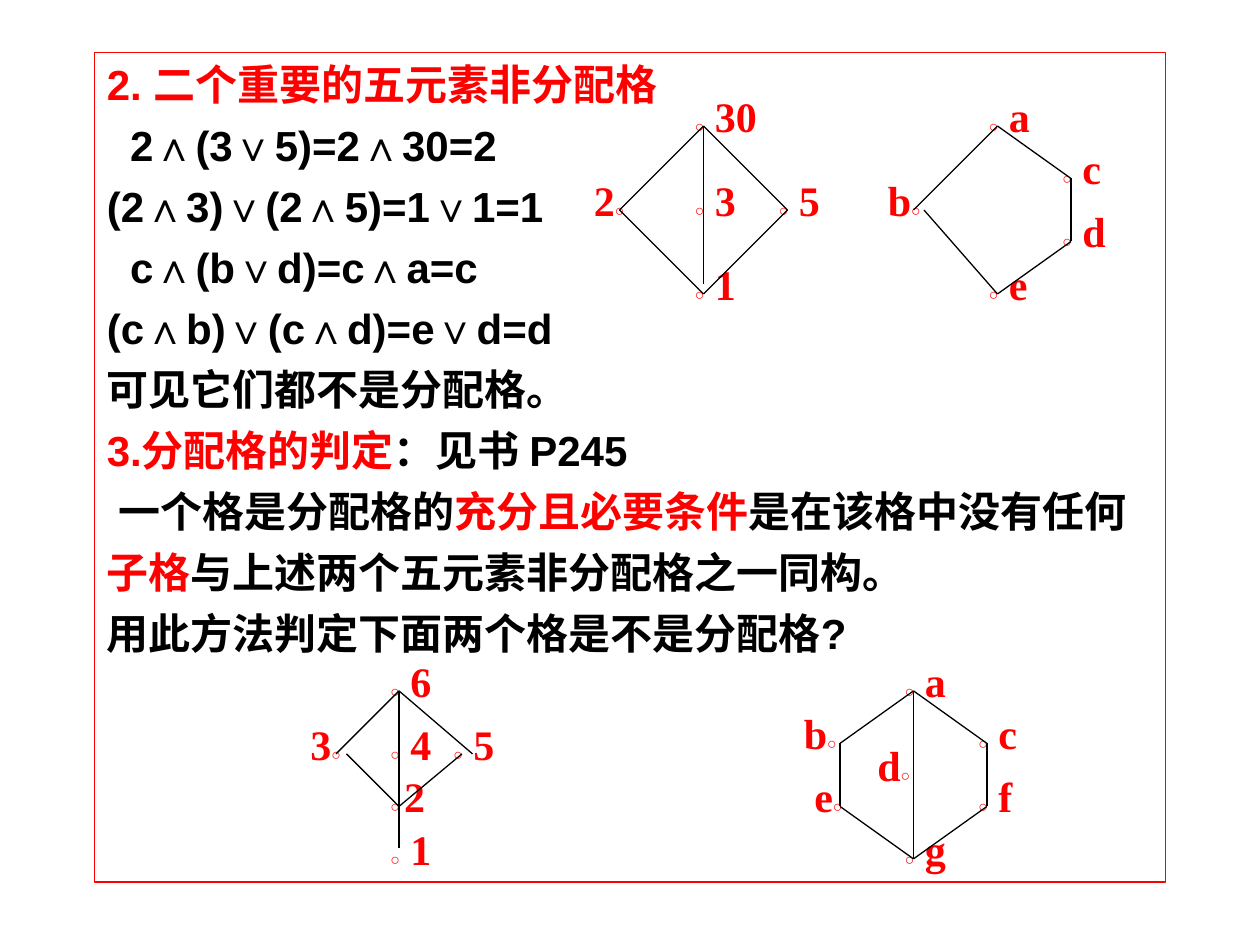
from lxml.etree import SubElement as Sub
from pptx import Presentation
from pptx.dml.color import RGBColor
from pptx.enum.shapes import MSO_CONNECTOR as Link
from pptx.enum.text import MSO_ANCHOR as Anchor, MSO_AUTO_SIZE as Fit
from pptx.oxml.ns import qn
from pptx.util import Cm, Pt

RED = RGBColor(0xFF, 0, 0)
BLACK = RGBColor(0, 0, 0)
STEP = 2.54 / 12
SANS, SERIF = "Arial", "Times New Roman"
RIM = 0.75

LINES = [
    (0, [("2. 二个重要的五元素非分配格", RED)]),
    (0.47, [("2∧(3∨5)=2∧30=2", BLACK)]),
    (0, [("(2∧3)∨(2∧5)=1∨1=1", BLACK)]),
    (0.47, [("c∧(b∨d)=c∧a=c", BLACK)]),
    (0, [("(c∧b)∨(c∧d)=e∨d=d", BLACK)]),
    (0, [("可见它们都不是分配格。", BLACK)]),
    (0, [("3.分配格的判定", RED), ("：见书 P245", BLACK)]),
    (0.23, [("一个格是分配格的", BLACK), ("充分且必要条件", RED),
            ("是在该格中没有任何", BLACK)]),
    (0, [("子格", RED), ("与上述两个五元素非分配格之一同构。", BLACK)]),
    (0, [("用此方法判定下面两个格是不是分配格?", BLACK)]),
]

# Each lattice: top node in steps, nodes (name, x, y, side, width), edges.
DIAMOND = (67, 12), [
    ("3", 0, 8, "right", 7), ("1", 0, 16, "right", 9),
    ("30", 0, 0, "right", 9), ("2", -8, 8, "left", 9),
    ("5", 8, 8, "right", 9),
], [(0, 0, 8, 8), (0, 0, -8, 8), (-8, 8, 0, 16), (8, 8, 0, 16),
    (0, 0, 0, 15)]
PENTA = (95, 12), [
    ("d", 7, 11, "right", 7), ("e", 0, 16, "right", 7),
    ("a", 0, 0, "right", 7), ("b", -8, 8, "left", 7),
    ("c", 7, 5, "right", 7),
], [(0, 0, 7, 5), (0, 0, -8, 8), (-7, 8, 0, 16), (7, 11, 0, 16),
    (7, 5, 7, 11)]
KITE = (38, 65.8), [
    ("4", 0, 6, "right", 7), ("1", 0, 16, "right", 9),
    ("6", 0, 0, "right", 9), ("3", -6, 6, "left", 9),
    ("5", 6, 6, "right", 9), ("2", 0, 11, "near", 7),
], [(0, 0, 7, 6), (0, 0, -6, 6), (-5, 6, 0, 11), (6, 6, 0, 11),
    (0, 0, 0, 15)]
HEXA = (87, 65.8), [
    ("f", 7, 11, "right", 7), ("g", 0, 16, "right", 7),
    ("a", 0, 0, "right", 7), ("d", -1, 8, "left", 7),
    ("c", 7, 5, "right", 7), ("e", -7, 11, "left", 7),
    ("b", -8, 5, "left", 7),
], [(0, 0, 7, 5), (0, 0, -7, 5), (-7, 11, 0, 16), (7, 11, 0, 16),
    (7, 5, 7, 11), (-7, 5, -7, 11), (0, 0, 0, 16)]


def style(item, **vals):
    for key, val in vals.items():
        setattr(item, key, val)


def grid(*vals):
    return [Cm(val * STEP) for val in vals]


def write(para, text, size, face, tint):
    run = para.add_run()
    run.text = text
    style(run.font, size=Pt(size), name=face, bold=True)
    run.font.color.rgb = tint


def body(slide):
    box = slide.placeholders[1]
    style(box, left=Cm(1.9), top=Cm(1.06), width=Cm(21.6), height=Cm(16.72))
    box.line.color.rgb = RED
    box.line.width = Pt(RIM)
    frame = box.text_frame
    style(frame, word_wrap=True, auto_size=Fit.NONE,
          vertical_anchor=Anchor.TOP)
    for row, (shift, parts) in enumerate(LINES):
        para = frame.add_paragraph() if row else frame.paragraphs[0]
        props = para._p.get_or_add_pPr()
        props.set("marL", str(Cm(0.96)))
        props.set("indent", str(Cm(shift - 0.96)))
        Sub(props, qn("a:buNone"))
        style(para, space_before=Pt(6 if row else 0), line_spacing=1.0)
        for text, tint in parts:
            write(para, text, 24, SANS, tint)


def node(group, name, x, y, side, width):
    left = side == "left"
    box = group.shapes.add_textbox(
        *grid(x - (4 if left else 2), y - 4, width, 6))
    frame = box.text_frame
    style(frame, word_wrap=True, auto_size=Fit.NONE, margin_right=0,
          margin_left=Cm(0.33 if left else 0.25))
    ring = ("○ " if side == "near" else "○", 9, SANS)
    word = (f" {name}" if side == "right" else name, 24, SERIF)
    for part in (word, ring) if left else (ring, word):
        write(frame.paragraphs[0], *part, RED)


def edge(group, *ends):
    line = group.shapes.add_connector(Link.STRAIGHT, *grid(*ends))
    line.line.color.rgb = BLACK
    line.line.width = Pt(RIM)
    Sub(line._element.spPr, qn("a:effectLst"))


def lattice(slide, top, nodes, edges):
    group = slide.shapes.add_group_shape()
    x, y = top
    for name, dx, dy, side, width in nodes:
        node(group, name, x + dx, y + dy, side, width)
    for ax, ay, bx, by in edges:
        edge(group, x + ax, y + ay, x + bx, y + by)


def main():
    deck = Presentation()
    style(deck, slide_width=Cm(25.4), slide_height=Cm(19.05))
    slide = deck.slides.add_slide(deck.slide_layouts[1])
    title = slide.shapes.title._element
    title.getparent().remove(title)
    body(slide)
    for shape in (DIAMOND, PENTA, KITE, HEXA):
        lattice(slide, *shape)
    deck.save("out.pptx")


if __name__ == "__main__":
    main()
